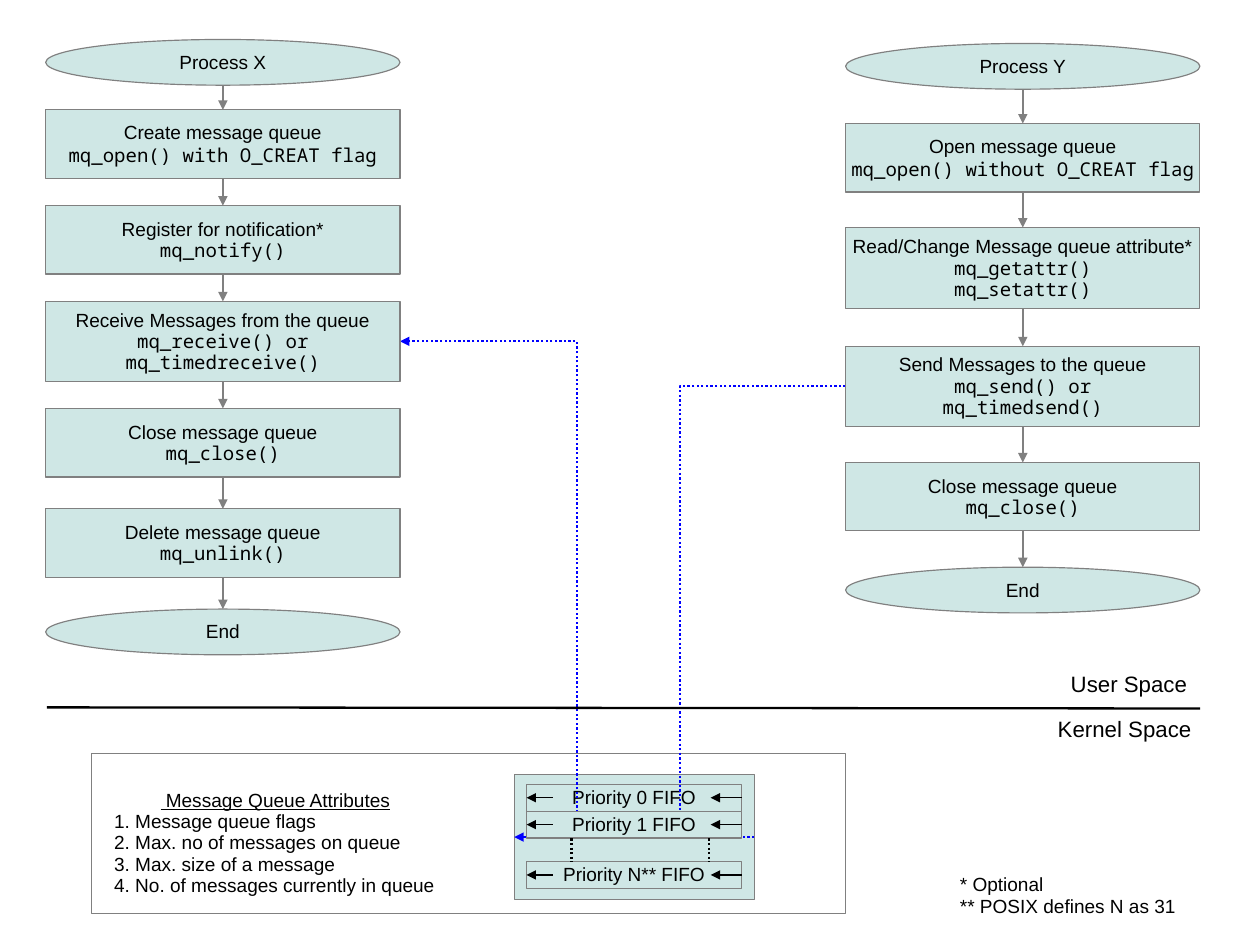
from lxml.etree import SubElement
from pptx import Presentation
from pptx.dml.color import RGBColor
from pptx.enum.dml import MSO_LINE_DASH_STYLE as Dash
from pptx.enum.shapes import MSO_CONNECTOR as Link, MSO_SHAPE as Preset
from pptx.enum.text import MSO_ANCHOR as Anchor, PP_ALIGN as Align
from pptx.oxml.ns import qn
from pptx.util import Pt

SANS, MONO = "Arial", "Noto Sans Mono"
MINT, GRAY, BLUE, BLACK, WHITE = "CFE7E5", "808080", "0000FF", "000000", "FFFFFF"

PROCESS_X = [
    (0, 28.8, 0.93, "Process X"),
    (15.5, 43.2, 1, "Create message queue", "mq_open() with O_CREAT flag"),
    (17.1, 43.2, 0.93, "Register for notification*", "mq_notify()"),
    (17.1, 50.4, 0.93, "Receive Messages from the queue", "mq_receive() or", "mq_timedreceive()"),
    (17.1, 43.2, 0.93, "Close message queue", "mq_close()"),
    (20, 43.2, 0.93, "Delete message queue", "mq_unlink()"),
    (20, 28.8, 0.93, "End"),
]
PROCESS_Y = [
    (0, 28.8, 0.93, "Process Y"),
    (21.6, 43.2, 1, "Open message queue", "mq_open() without O_CREAT flag"),
    (22.4, 51, 0.93, "Read/Change Message queue attribute*", "mq_getattr()", "mq_setattr()"),
    (23.7, 50.4, 0.93, "Send Messages to the queue", "mq_send() or", "mq_timedsend()"),
    (22.8, 43.2, 0.93, "Close message queue", "mq_close()"),
    (22.8, 28.8, 0.93, "End"),
]
ATTRIBUTES = [
    "1. Message queue flags",
    "2. Max. no of messages on queue",
    "3. Max. size of a message",
    "4. No. of messages currently in queue",
]


def color(value):
    return RGBColor.from_string(value)


def apply_format(target, values):
    for name, value in values.items():
        setattr(target, name, value)


def write_lines(shape, lines, wrap, anchor, top_inset):
    frame = shape.text_frame
    apply_format(frame, {
        "word_wrap": wrap, "vertical_anchor": anchor,
        "margin_left": Pt(7.2), "margin_right": Pt(7.2),
        "margin_top": Pt(top_inset), "margin_bottom": Pt(3.6),
    })
    for index, (text, font, size, align, spacing, underline) in enumerate(lines):
        paragraph = frame.add_paragraph() if index else frame.paragraphs[0]
        apply_format(paragraph, {"alignment": align, "line_spacing": spacing})
        run = paragraph.add_run()
        run.text = text
        apply_format(run.font, {"name": font, "size": Pt(size), "underline": underline})
        run.font.color.rgb = color(BLACK)


def add_panel(slide, preset, box, fill, lines=()):
    shape = slide.shapes.add_shape(preset, *map(Pt, box))
    shape.shadow.inherit = False
    shape.fill.solid()
    shape.fill.fore_color.rgb = color(fill)
    shape.line.color.rgb = color(GRAY)
    shape.line.width = Pt(0.75)
    if lines:
        write_lines(shape, lines, False, Anchor.MIDDLE, 4.3)


def add_label(slide, box, lines, top_inset=3.6):
    label = slide.shapes.add_textbox(*map(Pt, box))
    write_lines(label, lines, True, Anchor.TOP, top_inset)


def add_link(slide, start, end, line_color, width=1.45, kind=Link.STRAIGHT, dash=None, arrow=True):
    link = slide.shapes.add_connector(kind, *map(Pt, start + end))
    link.line.color.rgb = color(line_color)
    apply_format(link.line, {"width": Pt(width), "dash_style": dash})
    if arrow:
        SubElement(link.line._get_or_add_ln(), qn("a:tailEnd"), type="triangle")
    SubElement(link._element.spPr, qn("a:effectLst"))


def add_process(slide, left, top, width, steps):
    center = left + width / 2
    for gap, height, spacing, title, *calls in steps:
        if gap:
            add_link(slide, (center, top), (center, top + gap), GRAY)
        top += gap
        lines = [(title, SANS, 12, Align.CENTER, 0.93, False)]
        lines += [(call, MONO, 12, Align.CENTER, spacing, False) for call in calls]
        preset = Preset.RECTANGLE if calls else Preset.OVAL
        add_panel(slide, preset, (left, top, width, height), MINT, lines)
        top += height


def add_fifo(slide, left, top, width, height, name):
    add_panel(slide, Preset.RECTANGLE, (left, top, width, height), MINT,
              [(name, SANS, 12, Align.CENTER, 0.93, False)])
    middle, right = top + height / 2, left + width
    for tail, head in ((right, right - 19.4), (left + 16.4, left)):
        add_link(slide, (tail, middle), (head, middle), BLACK, 0.75)


def add_message_paths(slide, left, top, width, height):
    right, bottom = left + width, top + height
    for start, end in (((right, top + 28.2), (left + 72, bottom)),
                       ((right - 57.6, bottom), (left, top))):
        add_link(slide, start, end, BLUE, kind=Link.ELBOW, dash=Dash.ROUND_DOT)


def add_kernel(slide, left, top, width, height):
    add_panel(slide, Preset.RECTANGLE, (left, top, width, height), WHITE)
    queue_left = left + 266.4
    add_panel(slide, Preset.RECTANGLE, (queue_left, top + 12.8, 151.2, 79.2), MINT)
    fifo_left, fifo_width, fifo_height = queue_left + 7.7, 135.4, 16.9
    first = top + 19.2
    add_fifo(slide, fifo_left, first, fifo_width, fifo_height, "Priority 0 FIFO")
    add_message_paths(slide, 252, 215, 280.8, 312.3)
    add_fifo(slide, fifo_left, first + fifo_height, fifo_width, fifo_height, "Priority 1 FIFO")
    add_fifo(slide, fifo_left, first + 48.6, fifo_width, fifo_height, "Priority N** FIFO")
    for dots in (queue_left + 36, queue_left + 122.4):
        add_link(slide, (dots, first + 34), (dots, first + 48.6), BLACK,
                 dash=Dash.ROUND_DOT, arrow=False)
    heading = (" Message Queue Attributes", SANS, 12, Align.CENTER, 0.93, True)
    items = [(text, SANS, 12, Align.LEFT, 0.93, False) for text in ATTRIBUTES]
    add_label(slide, (left + 7.2, top + 19.4, 217.4, 74.2), [heading] + items)


def add_space_border(slide, left, top, width):
    right = left + width
    add_link(slide, (left, top), (right, top + 0.7), BLACK, arrow=False)
    for text, offset, shift, box_width, box_height in (
            ("User Space", 88.6, -27, 101.5, 23), ("Kernel Space", 96.8, 1.2, 99.4, 27.4)):
        add_label(slide, (right - offset, top + shift, box_width, box_height),
                  [(text, SANS, 14, Align.LEFT, 0.93, False)], 5)


def add_footnotes(slide, left, top, width, height):
    notes = ("* Optional", "** POSIX defines N as 31")
    add_label(slide, (left, top, width, height),
              [(note, SANS, 12, Align.LEFT, 0.93, False) for note in notes])


def main():
    presentation = Presentation()
    presentation.slide_width = Pt(793.7)
    presentation.slide_height = Pt(595.28)
    slide = presentation.slides.add_slide(presentation.slide_layouts[6])
    add_kernel(slide, 57.6, 474.9, 475.2, 100.8)
    add_space_border(slide, 29.5, 445.6, 726.5)
    add_process(slide, 28.8, 24.9, 223.2, PROCESS_X)
    add_process(slide, 532.7, 27.4, 223.2, PROCESS_Y)
    add_footnotes(slide, 597.6, 547.5, 158.4, 21.6)
    presentation.save("out.pptx")


if __name__ == "__main__":
    main()
